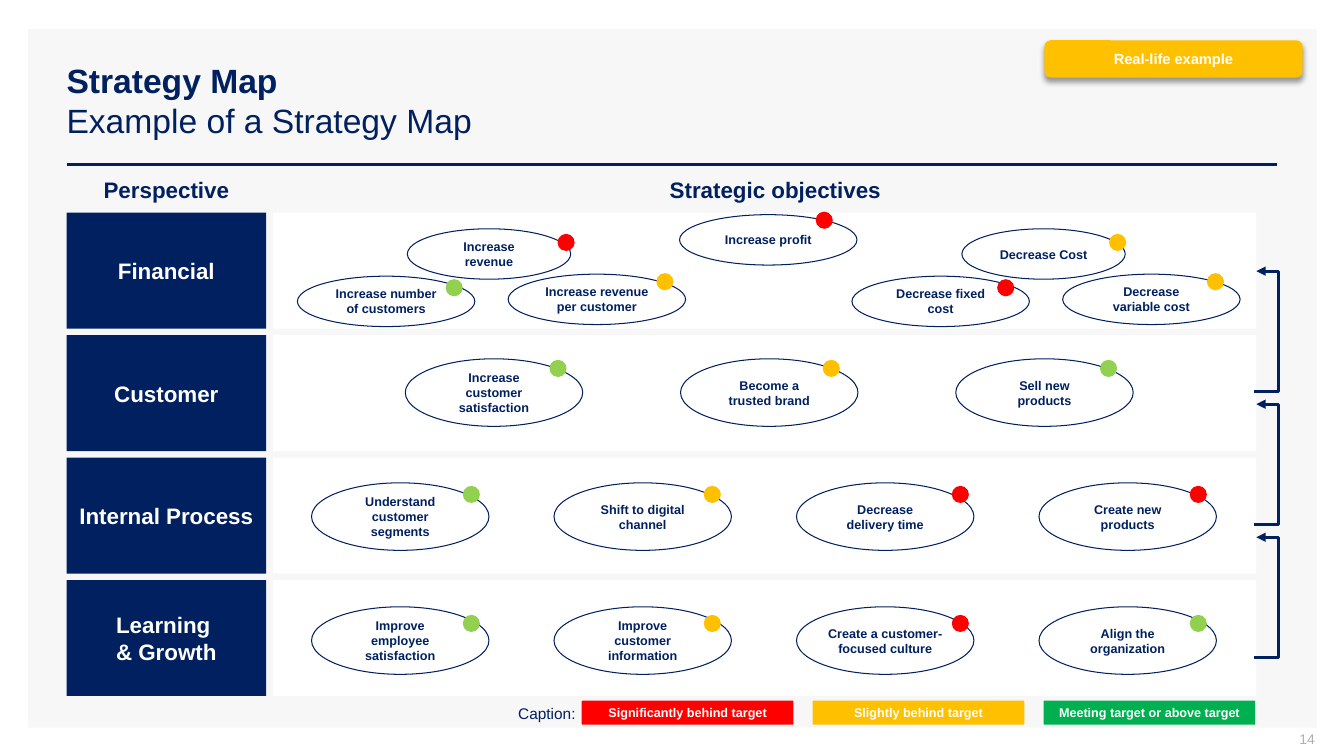
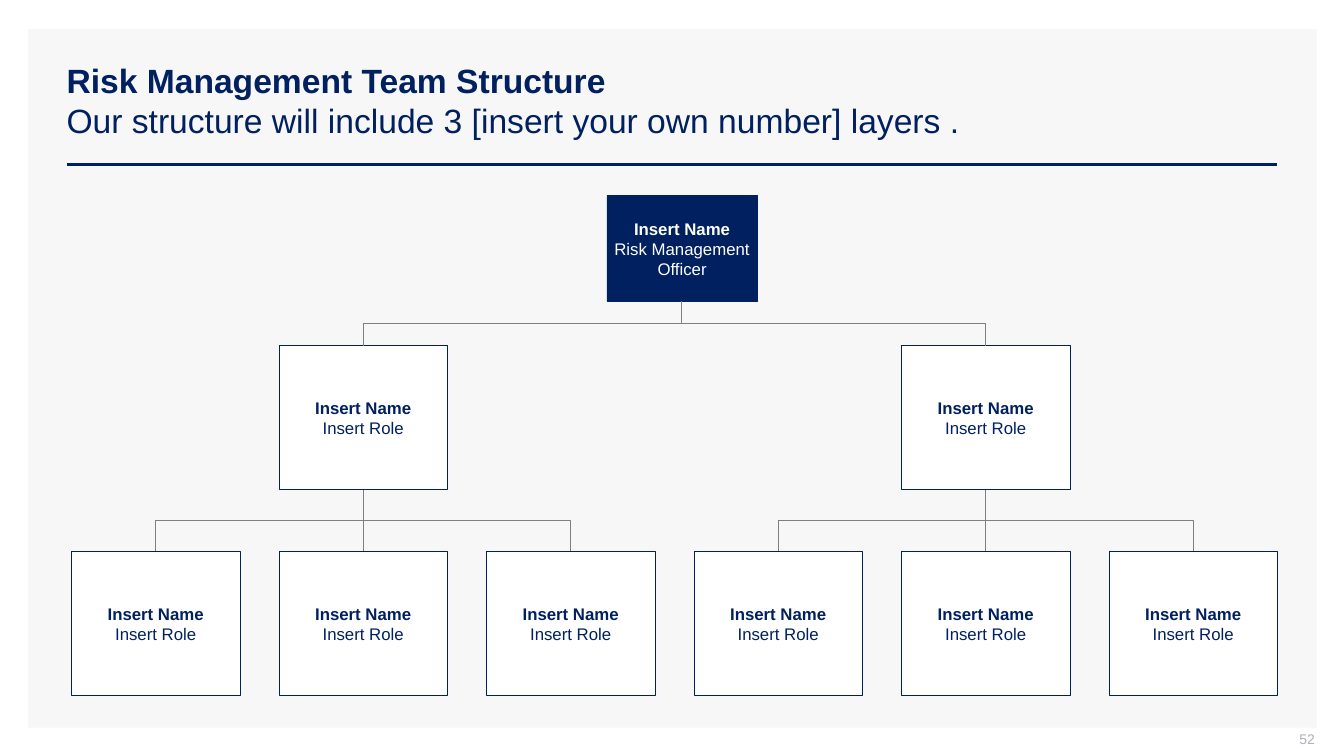
"""Build a strategy map slide and a risk management team structure slide."""
from collections import namedtuple

from lxml import etree
from pptx import Presentation
from pptx.dml.color import RGBColor
from pptx.enum import shapes, text
from pptx.oxml import ns
from pptx.util import Inches, Pt

COLORS = {
    "navy": "002060", "white": "FFFFFF", "panel": "F7F7F7", "gray": "7F7F7F",
    "number": "ADAFBB", "red": "FF0000", "amber": "FFC000",
    "lime": "92D050", "green": "00B050",
}
FONT = "Arial"
SHAPE = shapes.MSO_SHAPE
LINK = shapes.MSO_CONNECTOR
ALIGN = text.PP_ALIGN
EDGE_LEFT, EDGE_RIGHT = 0.66, 12.67
LANE_TOP, LANE_PITCH, LANE_HEIGHT = 2.11, 1.215, 1.15

Objective = namedtuple("Objective", "label box dot status margin", defaults=[0.1])


def rgb(name):
    """Return the named colour."""
    return RGBColor.from_string(COLORS[name])


def add_run(paragraph, words, size, color, bold=False):
    """Append one formatted run."""
    run = paragraph.add_run()
    run.text = words
    run.font.name, run.font.size, run.font.bold = FONT, Pt(size), bold
    run.font.color.rgb = rgb(color)


def set_text(shape, lines, size, color, align=ALIGN.CENTER, margins=(0.1, 0.05, 0.1, 0.05)):
    """Fill a shape with one paragraph for each (words, bold) pair."""
    frame = shape.text_frame
    frame.word_wrap = True
    frame.vertical_anchor = text.MSO_ANCHOR.MIDDLE
    frame.margin_left, frame.margin_top, frame.margin_right, frame.margin_bottom = map(Inches, margins)
    for index, (words, bold) in enumerate(lines):
        paragraph = frame.add_paragraph() if index else frame.paragraphs[0]
        paragraph.alignment = align
        add_run(paragraph, words, size, color, bold)


def add_box(slide, kind, box, fill, line=None, width=0.5):
    """Add a flat preset shape."""
    shape = slide.shapes.add_shape(kind, *map(Inches, box))
    shape.shadow.inherit = False
    shape.fill.solid()
    shape.fill.fore_color.rgb = rgb(fill)
    if line:
        shape.line.color.rgb = rgb(line)
        shape.line.width = Pt(width)
    else:
        shape.line.fill.background()
    return shape


def add_label(slide, box, words, size, color, **style):
    """Add a text box holding one paragraph."""
    bold = style.pop("bold", False)
    label = slide.shapes.add_textbox(*map(Inches, box))
    set_text(label, [(words, bold)], size, color, **style)


def add_link(slide, kind, start, end, color, width):
    """Add a connector without a shadow."""
    link = slide.shapes.add_connector(kind, *map(Inches, (*start, *end)))
    link.line.color.rgb = rgb(color)
    link.line.width = Pt(width)
    etree.SubElement(link._element.spPr, ns.qn("a:effectLst"))
    return link


def add_branch(slide, start, end):
    """Join a parent's bottom to a child's top, bending halfway down."""
    (x1, y1), (x2, y2) = start, end
    if abs(x2 - x1) < 0.02:
        add_link(slide, LINK.STRAIGHT, start, end, "gray", 0.5)
        return
    mid_x, mid_y = (x1 + x2) / 2, (y1 + y2) / 2
    half_drop, half_span = (y2 - y1) / 2, abs(x2 - x1) / 2
    side = 1 if x2 > x1 else -1
    link = add_link(slide, LINK.ELBOW, (mid_x + side * half_drop, mid_y - half_span),
                    (mid_x - side * half_drop, mid_y + half_span), "gray", 0.5)
    turn = 270 if side > 0 else 90
    link._element.spPr.find(ns.qn("a:xfrm")).set("rot", str(turn * 60000))


def add_feedback_arrow(slide, bottom):
    """Add an arrow that leads from one lane up to the lane above."""
    arrow = add_link(slide, LINK.ELBOW, (12.44, bottom), (12.46, bottom - 1.19), "navy", 2.25)
    properties = arrow._element.spPr
    guides = properties.find(ns.qn("a:prstGeom")).find(ns.qn("a:avLst"))
    etree.SubElement(guides, ns.qn("a:gd"), name="adj1", fmla="val 1200000")
    etree.SubElement(properties.find(ns.qn("a:ln")), ns.qn("a:tailEnd"), type="triangle")


def add_badge(slide, words):
    """Add the corner badge with its soft shadow."""
    badge = add_box(slide, SHAPE.ROUNDED_RECTANGLE, (10.36, 0.4, 2.56, 0.37), "amber")
    set_text(badge, [(words, True)], 10.5, "white")
    effects = badge._element.spPr.find(ns.qn("a:effectLst"))
    shadow = etree.SubElement(effects, ns.qn("a:outerShdw"), blurRad=str(Pt(4)),
                              dist=str(Pt(3)), dir="5400000", algn="t", rotWithShape="0")
    black = etree.SubElement(shadow, ns.qn("a:srgbClr"), val="000000")
    etree.SubElement(black, ns.qn("a:alpha"), val="40000")


def add_objective(slide, objective):
    """Add an objective's ellipse and its status dot."""
    ellipse = add_box(slide, SHAPE.OVAL, objective.box, "white", "navy", 0.75)
    set_text(ellipse, [(line, True) for line in objective.label.split("\n")], 9, "navy",
             margins=(objective.margin, 0.05, objective.margin, 0.05))
    add_box(slide, SHAPE.OVAL, (*objective.dot, 0.17, 0.17), objective.status)


def add_person(slide, box, role, fill="white", color="navy"):
    """Add a member of the team."""
    person = add_box(slide, SHAPE.RECTANGLE, box, fill, "navy")
    set_text(person, [("Insert Name", True), (role, False)], 12, color, margins=[0.02] * 4)


def decorate_layout(deck, layout):
    """Put the panel and the title rule on the shared layout."""
    slide = deck.slides[0]
    panel = add_box(slide, SHAPE.RECTANGLE, (0.28, 0.29, 12.78, 6.93), "panel")
    rule = add_link(slide, LINK.STRAIGHT, (EDGE_LEFT, 1.63), (EDGE_RIGHT, 1.63), "navy", 2)
    for place, part in enumerate((panel, rule), 2):
        layout.shapes._spTree.insert(place, part._element)


def add_slide(deck, layout, heading, subheading, number):
    """Add a slide with its two-line title and page number."""
    slide = deck.slides.add_slide(layout)
    title = slide.shapes.title
    title.left, title.top, title.width, title.height = map(Inches, (0.56, 0.4, 12.11, 1.19))
    set_text(title, [(heading, True)], 24, "navy", ALIGN.LEFT)
    title.text_frame.auto_size = text.MSO_AUTO_SIZE.NONE
    paragraph = title.text_frame.paragraphs[0]
    paragraph.add_line_break()
    add_run(paragraph, subheading, 24, "navy")
    add_label(slide, (10.04, 7.25, 3, 0.21), number, 10, "number",
              align=ALIGN.RIGHT, margins=(0.1, 0, 0, 0.05))
    return slide


def list_objectives():
    """Return the objectives of all four perspectives."""
    financial = [
        Objective("Increase revenue", (4.04, 2.27, 1.62, 0.5), (5.53, 2.32), "red"),
        Objective("Increase profit", (6.74, 2.13, 1.76, 0.5), (8.09, 2.1), "red"),
        Objective("Increase number of customers", (2.95, 2.74, 1.76, 0.5), (4.42, 2.77), "lime"),
        Objective("Increase revenue per customer", (5.04, 2.72, 1.76, 0.5), (6.51, 2.71), "amber"),
        Objective("Decrease Cost", (9.54, 2.27, 1.62, 0.5), (11, 2.32), "amber"),
        Objective("Decrease fixed cost", (8.45, 2.74, 1.76, 0.5), (9.89, 2.77), "red"),
        Objective("Decrease variable cost", (10.54, 2.72, 1.76, 0.5), (11.97, 2.71), "amber"),
    ]
    three_dots, four_dots = (5.45, 8.16, 10.91), (4.59, 6.98, 9.44, 11.8)
    rows = [
        (4.02, 2.73, 3.56, three_dots, 3.57, [
            ("Increase customer satisfaction", "lime"), ("Become a trusted brand", "amber"),
            ("Sell new products", "lime")]),
        (3.09, 2.405, 4.79, four_dots, 4.82, [
            ("Understand customer segments", "lime"), ("Shift to digital channel", "amber"),
            ("Decrease delivery time", "red"), ("Create new products", "red")]),
        (3.09, 2.405, 6.02, four_dots, 6.1, [
            ("Improve\nemployee satisfaction", "lime"),
            ("Improve customer information", "amber"),
            ("Create a customer-focused culture", "red", 0), ("Align the organization", "lime")]),
    ]
    regular = [
        Objective(label, (left + pitch * column, top, 1.76, 0.67), (dots[column], dot_top), *state)
        for left, pitch, top, dots, dot_top, goals in rows
        for column, (label, *state) in enumerate(goals)
    ]
    return financial + regular


def draw_strategy_map(slide):
    """Draw the lanes, objectives, arrows and caption."""
    add_label(slide, (EDGE_LEFT, 1.71, 1.98, 0.34), "Perspective", 16, "navy",
              bold=True, margins=(0, 0.05, 0, 0.05))
    add_label(slide, (2.71, 1.71, 9.96, 0.34), "Strategic objectives", 16, "navy", bold=True)
    perspectives = ["Financial", "Customer", "Internal Process", "Learning \n& Growth"]
    for index, perspective in enumerate(perspectives):
        top = LANE_TOP + LANE_PITCH * index
        add_box(slide, SHAPE.RECTANGLE, (2.71, top, 9.75, LANE_HEIGHT), "white")
        header = add_box(slide, SHAPE.RECTANGLE, (EDGE_LEFT, top, 1.98, LANE_HEIGHT), "navy")
        set_text(header, [(line, True) for line in perspective.split("\n")], 16, "white")
    for bottom in (6.52, 5.2, 3.88):
        add_feedback_arrow(slide, bottom)
    for objective in list_objectives():
        add_objective(slide, objective)

    add_label(slide, (3.73, 6.91, 1.98, 0.34), "Caption:", 11, "navy",
              align=ALIGN.RIGHT, margins=(0, 0.05, 0, 0.05))
    captions = [("Significantly behind target", "red"), ("Slightly behind target", "amber"),
                ("Meeting target or above target", "green")]
    for index, (meaning, color) in enumerate(captions):
        key = add_box(slide, SHAPE.ROUNDED_RECTANGLE, (5.77 + 2.29 * index, 6.95, 2.1, 0.24), color)
        key.adjustments[0] = 0.04
        set_text(key, [(meaning, True)], 9, "white")
    add_badge(slide, "Real-life example")


def draw_team(slide):
    """Draw the three layers of the team and their links."""
    width, height, manager_top, member_top = 1.67, 1.43, 3.43, 5.47
    first = 0.71
    pitch = (EDGE_RIGHT - width - first) / 5
    lefts = [first + pitch * column for column in range(6)]
    centers = [left + width / 2 for left in lefts]
    add_person(slide, (6.02, 1.94, 1.49, 1.05), "Risk Management Officer", "navy", "white")
    for manager in (1, 4):
        add_person(slide, (lefts[manager], manager_top, width, height), "Insert Role")
        add_branch(slide, (6.76, 2.99), (centers[manager], manager_top))
        for member in range(manager - 1, manager + 2):
            add_person(slide, (lefts[member], member_top, width, height), "Insert Role")
            add_branch(slide, (centers[manager], manager_top + height),
                       (centers[member], member_top))


def main():
    """Build and save the deck."""
    deck = Presentation()
    deck.slide_width, deck.slide_height = Inches(13.33), Inches(7.5)
    layout = deck.slide_layouts[5]
    strategy = add_slide(deck, layout, "Strategy Map", "Example of a Strategy Map", "14")
    decorate_layout(deck, layout)
    draw_strategy_map(strategy)
    team = add_slide(deck, layout, "Risk Management Team Structure",
                     "Our structure will include 3 [insert your own number] layers .", "52")
    draw_team(team)
    deck.save("out.pptx")


if __name__ == "__main__":
    main()
